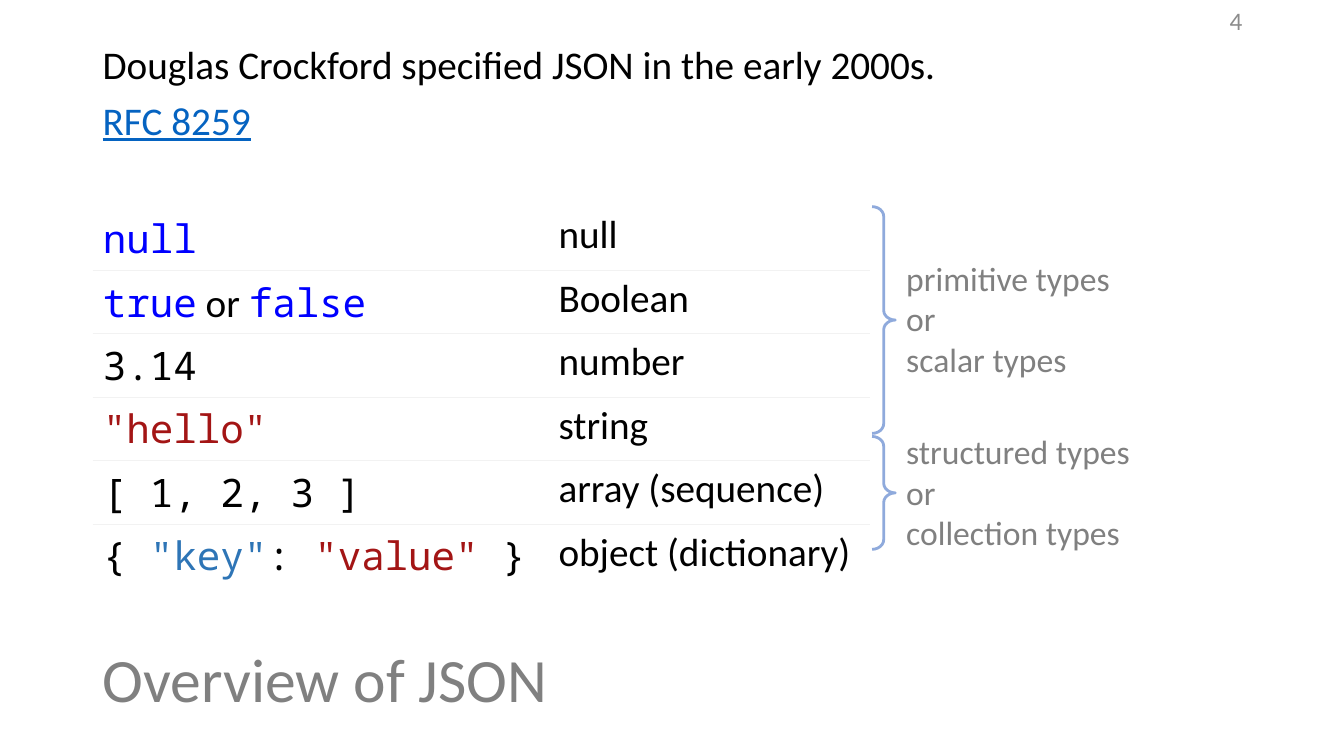
import pptx
import pptx.dml.color
import pptx.enum.shapes
import pptx.enum.text
import pptx.oxml
import pptx.oxml.ns
import pptx.util

Inches = pptx.util.Inches
RGBColor = pptx.dml.color.RGBColor
PP_ALIGN = pptx.enum.text.PP_ALIGN
MSO_ANCHOR = pptx.enum.text.MSO_ANCHOR

BLACK = RGBColor(0x00, 0x00, 0x00)
GRAY = RGBColor(0x80, 0x80, 0x80)
NUMBER_GRAY = RGBColor(0x8C, 0x8C, 0x8C)
LINK_BLUE = RGBColor(0x05, 0x63, 0xC1)
KEYWORD_BLUE = RGBColor(0x00, 0x00, 0xFF)
KEY_BLUE = RGBColor(0x2E, 0x75, 0xB6)
STRING_RED = RGBColor(0xA3, 0x15, 0x15)
BRACE_BLUE = RGBColor(0x8F, 0xAA, 0xDC)
RULE_GRAY = RGBColor(0xF2, 0xF2, 0xF2)

BODY_FONT = "Calibri"
CODE_FONT = "Noto Sans Mono"
NO_STYLE_TABLE = "{2D5ABB26-0587-4C30-8999-92F81FD0307C}"

TITLE = "Overview of JSON"
SLIDE_NUMBER = "4"
INTRO = [
    ("Douglas Crockford specified JSON in the early 2000s.", BLACK, False),
    ("RFC 8259", LINK_BLUE, True),
]
JSON_TYPES = [
    ([("null", CODE_FONT, KEYWORD_BLUE)], "null"),
    ([("true", CODE_FONT, KEYWORD_BLUE), (" or ", BODY_FONT, BLACK),
      ("false", CODE_FONT, KEYWORD_BLUE)], "Boolean"),
    ([("3.14", CODE_FONT, BLACK)], "number"),
    ([('"hello"', CODE_FONT, STRING_RED)], "string"),
    ([("[ 1, 2, 3 ]", CODE_FONT, BLACK)], "array (sequence)"),
    ([("{ ", CODE_FONT, BLACK), ('"key"', CODE_FONT, KEY_BLUE),
      (": ", CODE_FONT, BLACK), ('"value"', CODE_FONT, STRING_RED),
      (" }", CODE_FONT, BLACK)], "object (dictionary)"),
]
TYPE_GROUPS = [
    (["primitive types", "or", "scalar types"], 2.05, 2.25, 2.51, 2.23),
    (["structured types", "or", "collection types"], 4.33, 1.12, 4.23, 2.43),
]

LEFT = 0.92
CONTENT_WIDTH = 11.5
TABLE_TOP = 2.05
COLUMN_WIDTHS = [4.52, 3.19]
ROW_HEIGHT = 0.63
BRACE_LEFT = 8.65
BRACE_WIDTH = 0.23
LABEL_LEFT = 8.89
LABEL_HEIGHT = 1.31


def add_run(paragraph, text, size=28, color=BLACK, font=BODY_FONT, underline=None):
    run = paragraph.add_run()
    run.text = text
    run.font.name = font
    run.font.size = pptx.util.Pt(size)
    run.font.color.rgb = color
    run.font.underline = underline


def add_text_box(slide, left, top, width, height, anchor=MSO_ANCHOR.TOP):
    text_box = slide.shapes.add_textbox(Inches(left), Inches(top), Inches(width), Inches(height))
    text_box.text_frame.word_wrap = True
    text_box.text_frame.vertical_anchor = anchor
    return text_box.text_frame


def next_paragraph(text_frame, index):
    return text_frame.add_paragraph() if index else text_frame.paragraphs[0]


def add_cell_border(cell, side):
    border = pptx.oxml.parse_xml(
        f'<a:{side} {pptx.oxml.ns.nsdecls("a")} w="12700"><a:solidFill>'
        f'<a:srgbClr val="{RULE_GRAY}"/></a:solidFill></a:{side}>')
    cell._tc.get_or_add_tcPr().append(border)


def add_title(slide):
    title = slide.shapes.title
    title.left, title.top = Inches(LEFT), Inches(6.05)
    title.width, title.height = Inches(CONTENT_WIDTH), Inches(1.45)
    title.text_frame.vertical_anchor = MSO_ANCHOR.MIDDLE
    paragraph = title.text_frame.paragraphs[0]
    paragraph.alignment = PP_ALIGN.LEFT
    paragraph.line_spacing = 0.9
    add_run(paragraph, TITLE, size=44, color=GRAY)


def add_intro(slide):
    text_frame = add_text_box(slide, LEFT, 0.4, CONTENT_WIDTH, 1.5)
    for index, (text, color, underline) in enumerate(INTRO):
        paragraph = next_paragraph(text_frame, index)
        paragraph.line_spacing = 0.9
        if index:
            paragraph.space_before = pptx.util.Pt(10)
        add_run(paragraph, text, color=color, underline=underline)


def add_slide_number(slide):
    text_frame = add_text_box(slide, 9.42, 0, 3, 0.4, MSO_ANCHOR.MIDDLE)
    paragraph = text_frame.paragraphs[0]
    paragraph.alignment = PP_ALIGN.RIGHT
    add_run(paragraph, SLIDE_NUMBER, size=18, color=NUMBER_GRAY)


def add_type_table(slide):
    row_count = len(JSON_TYPES)
    frame = slide.shapes.add_table(
        row_count, len(COLUMN_WIDTHS), Inches(LEFT), Inches(TABLE_TOP),
        Inches(sum(COLUMN_WIDTHS)), Inches(ROW_HEIGHT * row_count))
    table = frame.table
    table.first_row = False
    table.horz_banding = False
    table._tbl.tblPr.find(pptx.oxml.ns.qn("a:tableStyleId")).text = NO_STYLE_TABLE
    for column, width in zip(table.columns, COLUMN_WIDTHS):
        column.width = Inches(width)
    for row_index, (code_runs, type_name) in enumerate(JSON_TYPES):
        table.rows[row_index].height = Inches(ROW_HEIGHT)
        for column_index, runs in enumerate([code_runs, [(type_name, BODY_FONT, BLACK)]]):
            cell = table.cell(row_index, column_index)
            if row_index > 0:
                add_cell_border(cell, "lnT")
            if row_index < row_count - 1:
                add_cell_border(cell, "lnB")
            cell.fill.background()
            for text, font, color in runs:
                add_run(cell.text_frame.paragraphs[0], text, font=font, color=color)


def add_type_group(slide, lines, brace_top, brace_height, label_top, label_width):
    brace = slide.shapes.add_shape(
        pptx.enum.shapes.MSO_SHAPE.RIGHT_BRACE, Inches(BRACE_LEFT), Inches(brace_top),
        Inches(BRACE_WIDTH), Inches(brace_height))
    brace.shadow.inherit = False
    brace.adjustments[0] = 0.42
    brace.fill.background()
    brace.line.color.rgb = BRACE_BLUE
    brace.line.width = pptx.util.Pt(2)
    text_frame = add_text_box(slide, LABEL_LEFT, label_top, label_width, LABEL_HEIGHT)
    for index, line in enumerate(lines):
        add_run(next_paragraph(text_frame, index), line, size=24, color=GRAY)


def main():
    presentation = pptx.Presentation()
    presentation.slide_width = Inches(13.33)
    presentation.slide_height = Inches(7.5)
    slide = presentation.slides.add_slide(presentation.slide_layouts[5])
    add_title(slide)
    add_intro(slide)
    add_slide_number(slide)
    add_type_table(slide)
    for group in TYPE_GROUPS:
        add_type_group(slide, *group)
    presentation.save("out.pptx")


if __name__ == "__main__":
    main()
